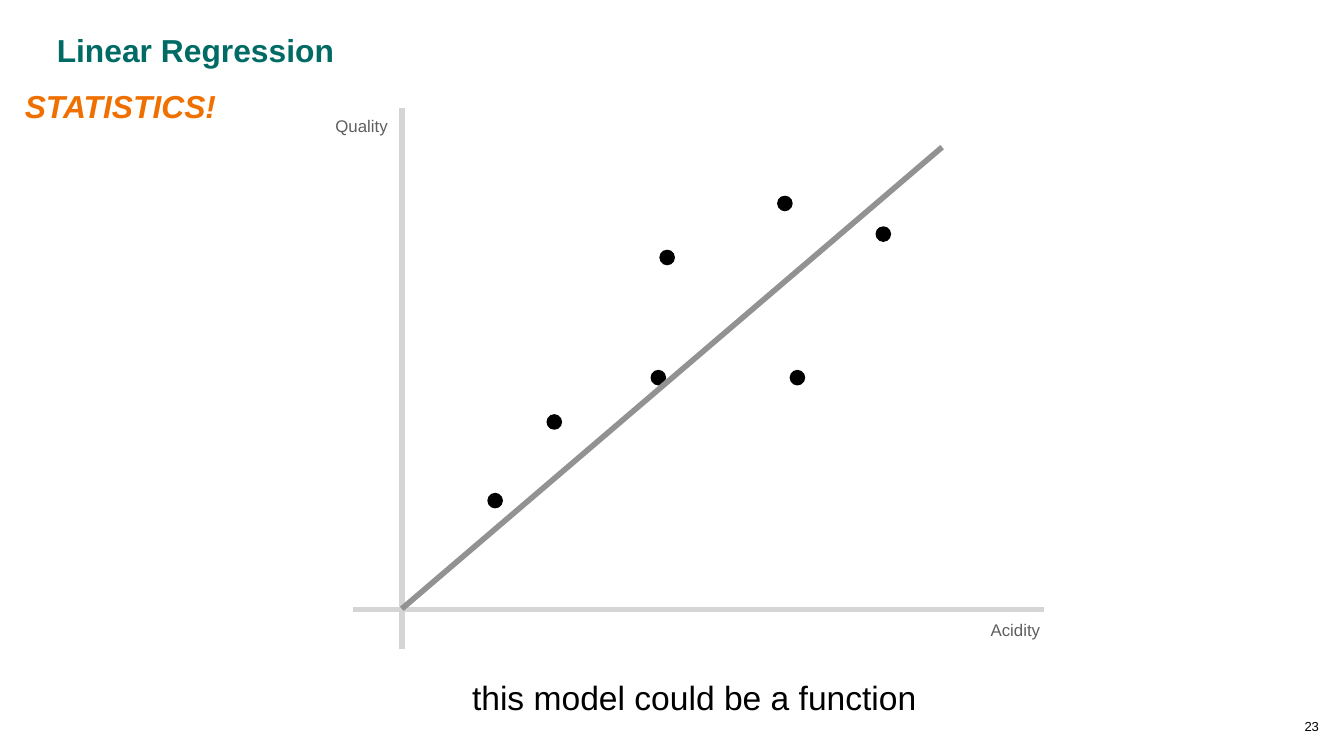
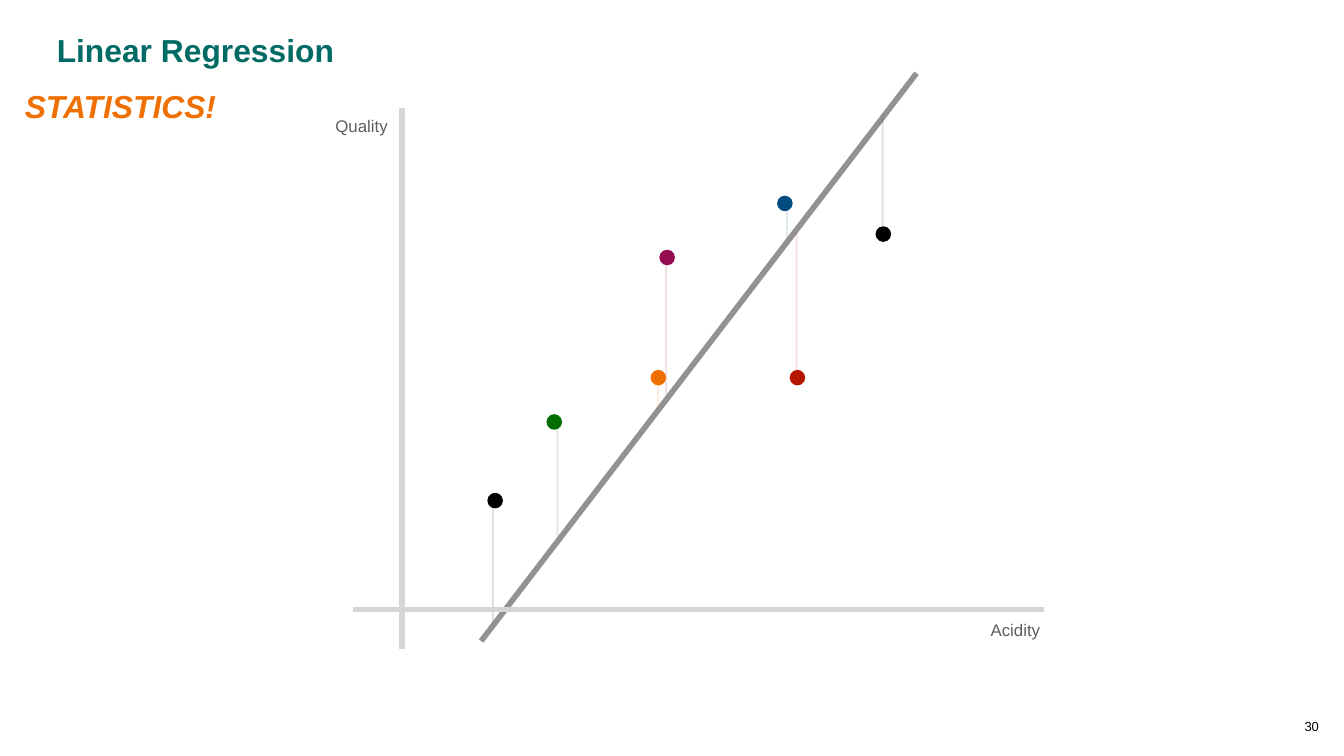
from lxml import etree
from pptx import Presentation
from pptx import util as u
from pptx.dml.color import RGBColor
from pptx.enum import shapes, text
from pptx.oxml.ns import qn

# Shared look
FONT = "Arial"
BLACK, TEAL, ORANGE = "000000", "006B64", "EF7001"
LABEL_GREY, AXIS_GREY, MODEL_GREY = "5E5E5E", "D5D5D5", "929292"
PLUM, RED, GREEN, BLUE = "950D51", "B41600", "016D01", "004C7F"
CENTER, LEFT, RIGHT = text.PP_ALIGN.CENTER, text.PP_ALIGN.LEFT, text.PP_ALIGN.RIGHT

# Grid: 100 columns on a 16:9 slide, each cell a tenth of an inch
CELL = u.Inches(0.1)
COLUMNS = 100
ROWS = COLUMNS * 9 / 16
DOT_SIZE, RESIDUAL_WIDTH = 1.16, 0.15
RESIDUAL_OPACITY = 12

# Observations: column, row, colour on the residual slide
OBSERVATIONS = [
    (48.4, 27.52, ORANGE),
    (49.06, 18.58, PLUM),
    (58.75, 27.52, RED),
    (36.26, 36.67, BLACK),
    (40.66, 30.82, GREEN),
    (57.82, 14.56, BLUE),
    (65.14, 16.84, BLACK),
]

# Residuals: column, row, height, colour
RESIDUALS = [
    (59.2, 17.2, 10.5, RED),
    (58.5, 15.1, 2.9, BLUE),
    (48.9, 28.1, 2.4, ORANGE),
    (36.6, 37.5, 8.9, BLACK),
    (49.5, 19.3, 10.5, PLUM),
    (41.4, 31.4, 8.9, GREEN),
]
FRONT_RESIDUAL = (65.6, 8.8, 8.7, BLACK)


def grid(*cells):
    return [round(cell * CELL) for cell in cells]


def rgb(hex_color):
    return RGBColor.from_string(hex_color)


def add_label(slide, words, box, size, color, align=CENTER, anchor=text.MSO_ANCHOR.MIDDLE,
              bold=False, italic=False, spacing=None, grow=True):
    label = slide.shapes.add_textbox(*grid(*box))
    frame = label.text_frame
    frame.word_wrap = align != CENTER
    frame.auto_size = (text.MSO_AUTO_SIZE.SHAPE_TO_FIT_TEXT if grow
                       else text.MSO_AUTO_SIZE.NONE)
    frame.vertical_anchor = anchor
    frame.margin_left = frame.margin_right = u.Inches(0.02)
    frame.margin_top = frame.margin_bottom = u.Inches(0.02)
    paragraph = frame.paragraphs[0]
    paragraph.alignment = align
    if spacing:
        paragraph.line_spacing = spacing
    run = paragraph.add_run()
    run.text = words
    run.font.name, run.font.size = FONT, u.Pt(size)
    run.font.bold, run.font.italic = bold, italic
    run.font.color.rgb = rgb(color)


def add_stroke(slide, start, end, color):
    stroke = slide.shapes.add_connector(
        shapes.MSO_CONNECTOR.STRAIGHT, *grid(*start, *end))
    stroke.line.color.rgb = rgb(color)
    stroke.line.width = u.Pt(3)
    etree.SubElement(stroke._element.spPr, qn("a:effectLst"))


def add_mark(slide, kind, box, color, opacity=100):
    mark = slide.shapes.add_shape(kind, *grid(*box))
    mark.shadow.inherit = False
    mark.fill.solid()
    mark.fill.fore_color.rgb = rgb(color)
    mark.line.fill.background()
    if opacity < 100:
        tint = mark._element.spPr.find(qn("a:solidFill"))[0]
        etree.SubElement(tint, qn("a:alpha"), val=str(opacity * 1000))


def add_axes(slide):
    add_stroke(slide, (29.9, 48.3), (29.9, 8), AXIS_GREY)
    add_stroke(slide, (77.7, 45.35), (26.3, 45.35), AXIS_GREY)
    add_label(slide, "Acidity", (73.35, 45.9, 4.4, 1.9), 9, LABEL_GREY)
    add_label(slide, "Quality", (24.65, 8.4, 4.5, 1.9), 9, LABEL_GREY)


def add_observations(slide, colored):
    for column, row, color in OBSERVATIONS:
        add_mark(slide, shapes.MSO_SHAPE.OVAL, (column, row, DOT_SIZE, DOT_SIZE),
                 color if colored else BLACK)


def add_residual(slide, column, row, height, color):
    add_mark(slide, shapes.MSO_SHAPE.RECTANGLE, (column, row, RESIDUAL_WIDTH, height),
             color, RESIDUAL_OPACITY)


def start_slide(deck, number):
    slide = deck.slides.add_slide(deck.slide_layouts[6])
    add_label(slide, "Linear Regression", (2.2, 2.05, 24.7, 3.3), 17, TEAL, bold=True)
    add_label(slide, "STATISTICS!", (1.65, 5.65, 21.4, 3.3), 17, ORANGE, LEFT,
              bold=True, italic=True, spacing=1.4)
    add_label(slide, number, (96.85, 53.25, 1.5, 1.6), 7, BLACK,
              anchor=text.MSO_ANCHOR.BOTTOM)
    return slide


def build_model_slide(deck):
    slide = start_slide(deck, "23")
    add_axes(slide)
    add_observations(slide, colored=False)
    add_label(slide, "this model could be a function", (23, 50.45, 45.4, 3.4), 18, BLACK,
              RIGHT, spacing=0.8, grow=False)
    add_stroke(slide, (29.9, 45.3), (70.1, 10.95), MODEL_GREY)


def build_residual_slide(deck):
    slide = start_slide(deck, "30")
    for residual in RESIDUALS:
        add_residual(slide, *residual)
    add_stroke(slide, (35.8, 47.7), (68.2, 5.45), MODEL_GREY)
    add_axes(slide)
    add_observations(slide, colored=True)
    add_residual(slide, *FRONT_RESIDUAL)


def main():
    deck = Presentation()
    deck.slide_width, deck.slide_height = grid(COLUMNS, ROWS)
    build_model_slide(deck)
    build_residual_slide(deck)
    deck.save("out.pptx")


if __name__ == "__main__":
    main()
